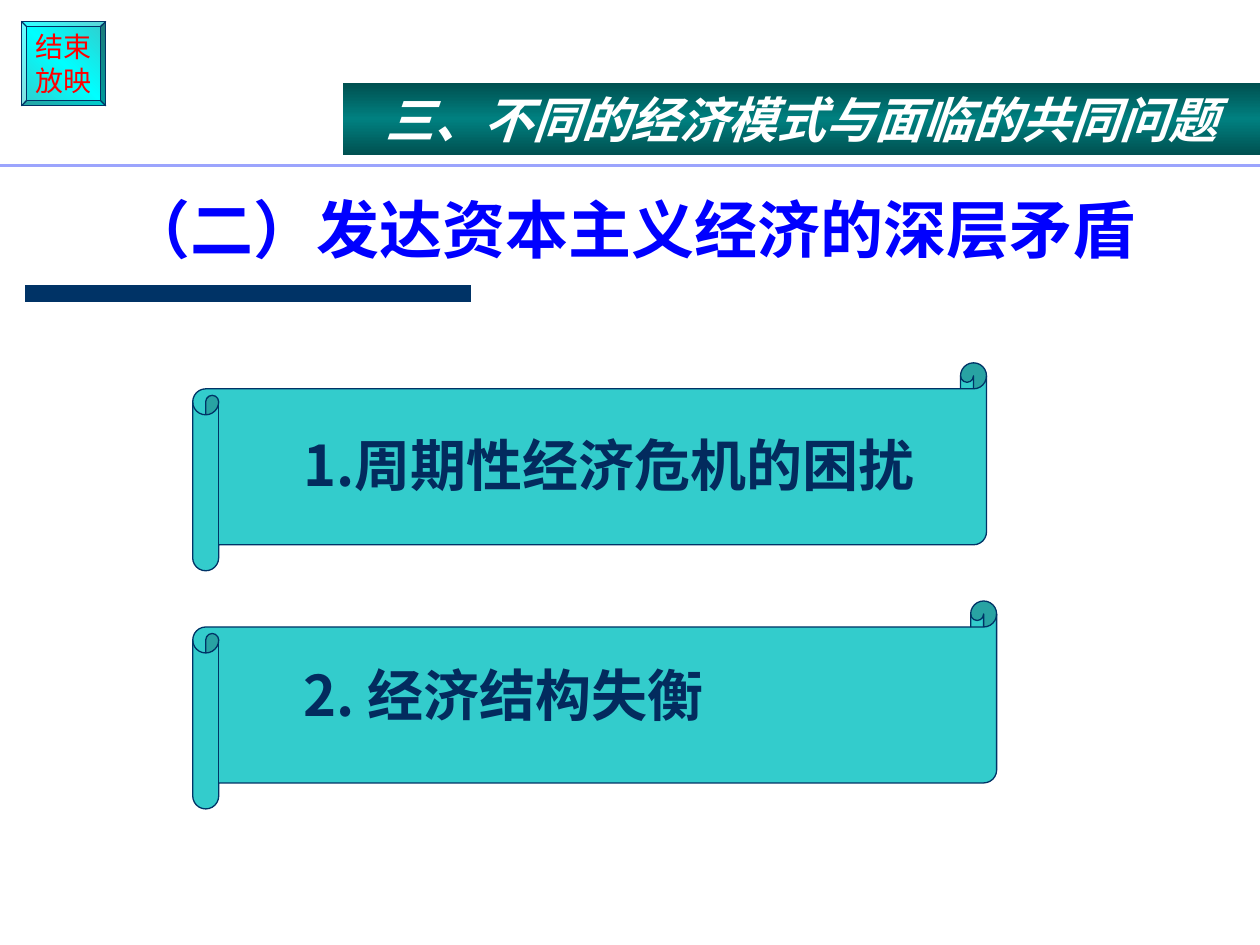
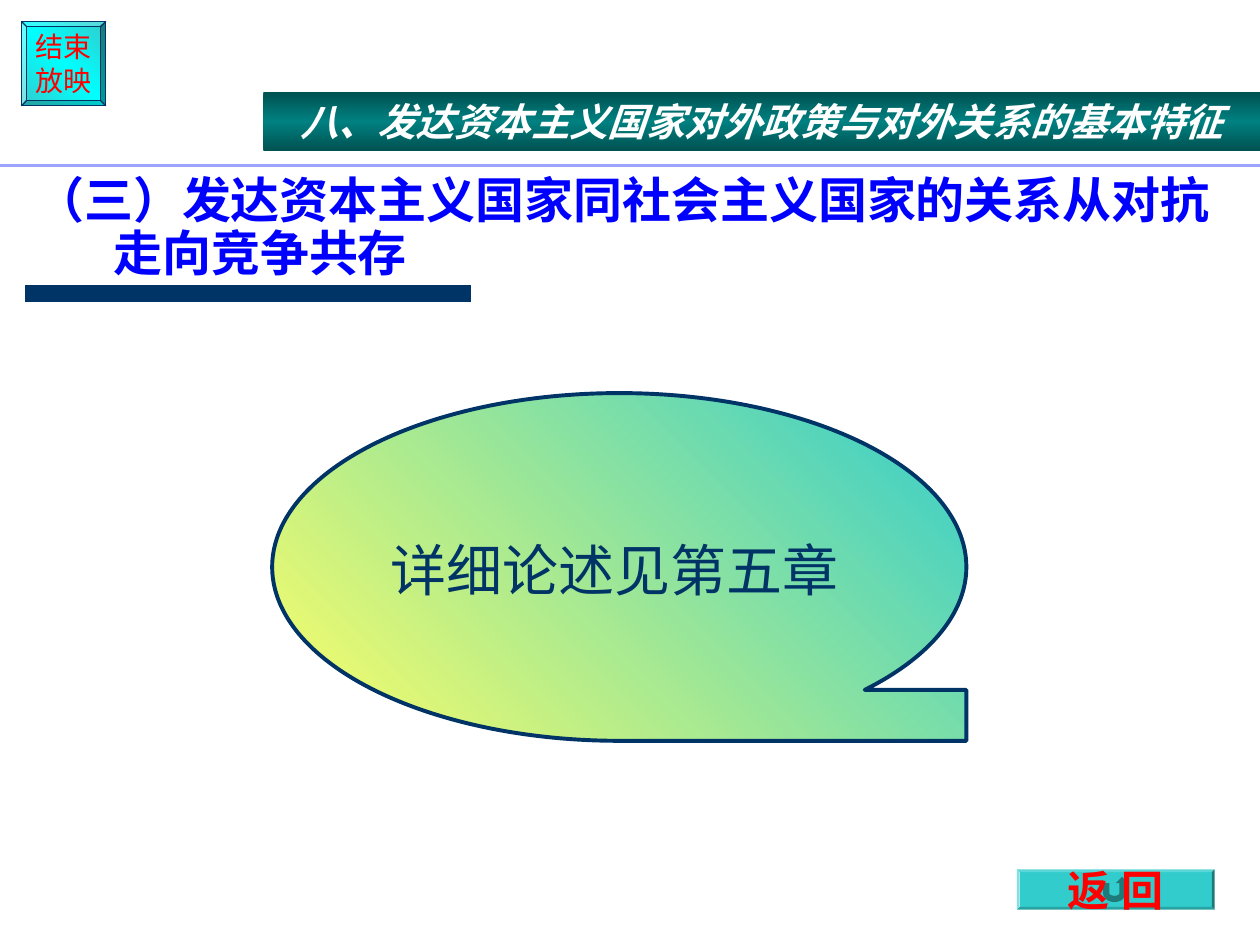
from math import cos, pi, sin

from lxml.etree import SubElement
from pptx import Presentation
from pptx.dml.color import RGBColor
from pptx.enum.shapes import MSO_CONNECTOR, MSO_SHAPE
from pptx.enum.text import MSO_ANCHOR as Anchor, PP_ALIGN as Align
from pptx.oxml.ns import qn
from pptx.util import Inches, Pt

COLORS = {
    "navy": "003366", "ink": "032B5E", "blue": "0000FF", "red": "FF0000",
    "white": "FFFFFF", "teal": "33CCCC", "cyan": "00FFFF", "yellow": "FFFF66",
    "band_edge": "005151", "band": "008080", "rule": "9BA4FD", "arrow": "1F7A7A",
}
CJK = "Noto Sans CJK SC"
BAND_STOPS = [(0, "band_edge"), (50, "band"), (100, "band_edge")]
BUTTON_STOPS = [(0, "teal"), (50, "cyan"), (100, "teal")]


def rgb(name):
    return RGBColor.from_string(COLORS[name])


def write_text(shape, paragraphs, size, color, font=CJK, bold=False, italic=False,
               align=Align.LEFT, anchor=Anchor.MIDDLE, insets=(0.1, 0.05), wrap=True,
               line_spacing=None, gap=0, margin=0, hanging=0):
    """Fill a shape with one format of text; gap separates the paragraphs."""
    frame = shape.text_frame
    frame.word_wrap = wrap
    frame.vertical_anchor = anchor
    frame.margin_left = frame.margin_right = Inches(insets[0])
    frame.margin_top = frame.margin_bottom = Inches(insets[1])
    for index, text in enumerate(paragraphs):
        paragraph = frame.add_paragraph() if index else frame.paragraphs[0]
        paragraph.text = text
        paragraph.alignment = align
        if line_spacing:
            paragraph.line_spacing = line_spacing
        if index and gap:
            paragraph.space_before = Pt(gap)
        properties = paragraph._p.get_or_add_pPr()
        properties.set("marL", str(Inches(margin)))
        properties.set("indent", str(-Inches(hanging)))
        for run in paragraph.runs:
            run.font.name = font
            run.font.size = Pt(size)
            run.font.bold = bold
            run.font.italic = italic
            run.font.color.rgb = rgb(color)
            east_asian = SubElement(run._r.get_or_add_rPr(), qn("a:ea"))
            east_asian.set("typeface", font)


class Deck:
    def __init__(self):
        self.presentation = Presentation()
        self.presentation.slide_width = Inches(10)
        self.presentation.slide_height = Inches(7.5)
        self.slide = None

    def new_slide(self):
        """Start a slide with the shared bar and end-show button."""
        self.slide = self.presentation.slides.add_slide(
            self.presentation.slide_layouts[6])
        self.line(0.2, 3.74, 2.33, "navy", 10)
        button = self.shape(MSO_SHAPE.BEVEL, 0.17, 0.17, 0.67, 0.67,
                            (BUTTON_STOPS, 135), "navy", adjustment=0.06)
        write_text(button, ["结束", "放映"], 16, "red", font="Arial",
                   align=Align.CENTER, insets=(0, 0), wrap=False)

    def line(self, left, right, y, color, width):
        line = self.slide.shapes.add_connector(
            MSO_CONNECTOR.STRAIGHT, Inches(left), Inches(y), Inches(right), Inches(y))
        line.line.color.rgb = rgb(color)
        line.line.width = Pt(width)
        SubElement(line._element.spPr, qn("a:effectLst"))

    def paint(self, shape, fill, outline=None, width=0.75):
        """Fill is a colour name or a pair of gradient stops and angle."""
        shape.shadow.inherit = False
        if isinstance(fill, str):
            shape.fill.solid()
            shape.fill.fore_color.rgb = rgb(fill)
        else:
            self.gradient(shape, *fill)
        if outline:
            shape.line.color.rgb = rgb(outline)
            shape.line.width = Pt(width)
        else:
            shape.line.fill.background()

    def gradient(self, shape, stops, angle):
        shape.fill.gradient()
        gradient = shape._element.spPr.find(qn("a:gradFill"))
        for child in list(gradient):
            gradient.remove(child)
        stop_list = SubElement(gradient, qn("a:gsLst"))
        for position, color in stops:
            stop = SubElement(stop_list, qn("a:gs"), pos=str(position * 1000))
            SubElement(stop, qn("a:srgbClr"), val=COLORS[color])
        SubElement(gradient, qn("a:lin"), ang=str(angle * 60000), scaled="0")

    def shape(self, kind, left, top, width, height, fill, outline=None,
              line_width=0.75, adjustment=None):
        shape = self.slide.shapes.add_shape(
            kind, Inches(left), Inches(top), Inches(width), Inches(height))
        if adjustment is not None:
            shape.adjustments[0] = adjustment
        self.paint(shape, fill, outline, line_width)
        return shape

    def outline(self, points, fill):
        corners = [(Inches(x), Inches(y)) for x, y in points]
        builder = self.slide.shapes.build_freeform(*corners[0])
        builder.add_line_segments(corners[1:], close=True)
        self.paint(builder.convert_to_shape(), fill)

    def text(self, left, top, width, height, paragraphs, **style):
        box = self.slide.shapes.add_textbox(
            Inches(left), Inches(top), Inches(width), Inches(height))
        write_text(box, paragraphs, **style)

    def heading(self, left, top, width, text, size, **style):
        self.text(left, top, width, 1.09, [text], size=size, color="blue", bold=True,
                  anchor=Anchor.BOTTOM, line_spacing=0.9, **style)

    def chapter_band(self, left, top, height, text, size):
        """Band that reaches the right edge, with the rule below it."""
        band = self.shape(MSO_SHAPE.RECTANGLE, left, top, 10 - left, height,
                          (BAND_STOPS, 90))
        write_text(band, [text], size, "white", bold=True, italic=True,
                   align=Align.CENTER, insets=(0.1, 0))
        self.line(0, 10, 1.31, "rule", 1.75)

    def return_button(self, left, top, width, height):
        button = self.shape(MSO_SHAPE.BEVEL, left, top, width, height, "teal",
                            adjustment=0.07)
        # U-turn arrow: outer bend, head, inner bend
        x, y = left + width / 2 - 0.01, top + 0.19
        arm_top = y - 0.08

        def bend(radius_x, radius_y, start, end, steps=10):
            angles = [start + (end - start) * i / steps for i in range(steps + 1)]
            return [(x + radius_x * cos(a), y + radius_y * sin(a)) for a in angles]

        head = [(x + 0.09, arm_top), (x + 0.11, arm_top),
                (x + 0.06, arm_top - 0.05), (x + 0.01, arm_top), (x + 0.04, arm_top)]
        self.outline([(x - 0.09, arm_top)] + bend(0.09, 0.07, pi, 0) + head
                     + bend(0.04, 0.02, 0, pi) + [(x - 0.04, arm_top)], "arrow")
        # The label lies over the arrow
        self.text(left, top, width, height, ["返 回"], size=24, color="red",
                  font="Arial", bold=True, align=Align.CENTER, insets=(0, 0),
                  wrap=False)
        return button


def contradictions_slide(deck):
    deck.new_slide()
    # Scrolls
    for top, width in ((4.77, 6.38), (2.88, 6.3)):
        deck.shape(MSO_SHAPE.HORIZONTAL_SCROLL, 1.53, top, width, 1.65, "teal",
                   "navy", adjustment=0.125)
    deck.heading(0.91, 1.08, 8.51, "（二）发达资本主义经济的深层矛盾", 36)
    # One line on each scroll
    deck.text(1.31, 2.68, 7.94, 3.84, ["1.周期性经济危机的困扰", "2. 经济结构失衡"],
              size=32, color="ink", bold=True, gap=93, margin=1)
    deck.chapter_band(2.72, 0.66, 0.57, "三、不同的经济模式与面临的共同问题", 28)


def coexistence_slide(deck):
    deck.new_slide()
    # Pointer to the later chapter
    deck.shape(MSO_SHAPE.FLOWCHART_SEQUENTIAL_ACCESS_STORAGE, 2.16, 3.12, 5.51, 2.76,
               ([(0, "teal"), (100, "yellow")], 135), "navy", line_width=2.25)
    deck.text(0.67, 2.88, 8.41, 3.28, ["详细论述见第五章"], size=32, color="navy",
              font="Arial", align=Align.CENTER)
    deck.heading(0.28, 1.15, 9.84,
                 "（三）发达资本主义国家同社会主义国家的关系从对抗\v走向竞争共存",
                 28, insets=(0, 0), margin=0.62, hanging=0.62)
    deck.return_button(8.07, 6.9, 1.57, 0.32)
    deck.chapter_band(2.09, 0.73, 0.47,
                      "八、发达资本主义国家对外政策与对外关系的基本特征", 22)


def main():
    deck = Deck()
    contradictions_slide(deck)
    coexistence_slide(deck)
    deck.presentation.save("out.pptx")


if __name__ == "__main__":
    main()
